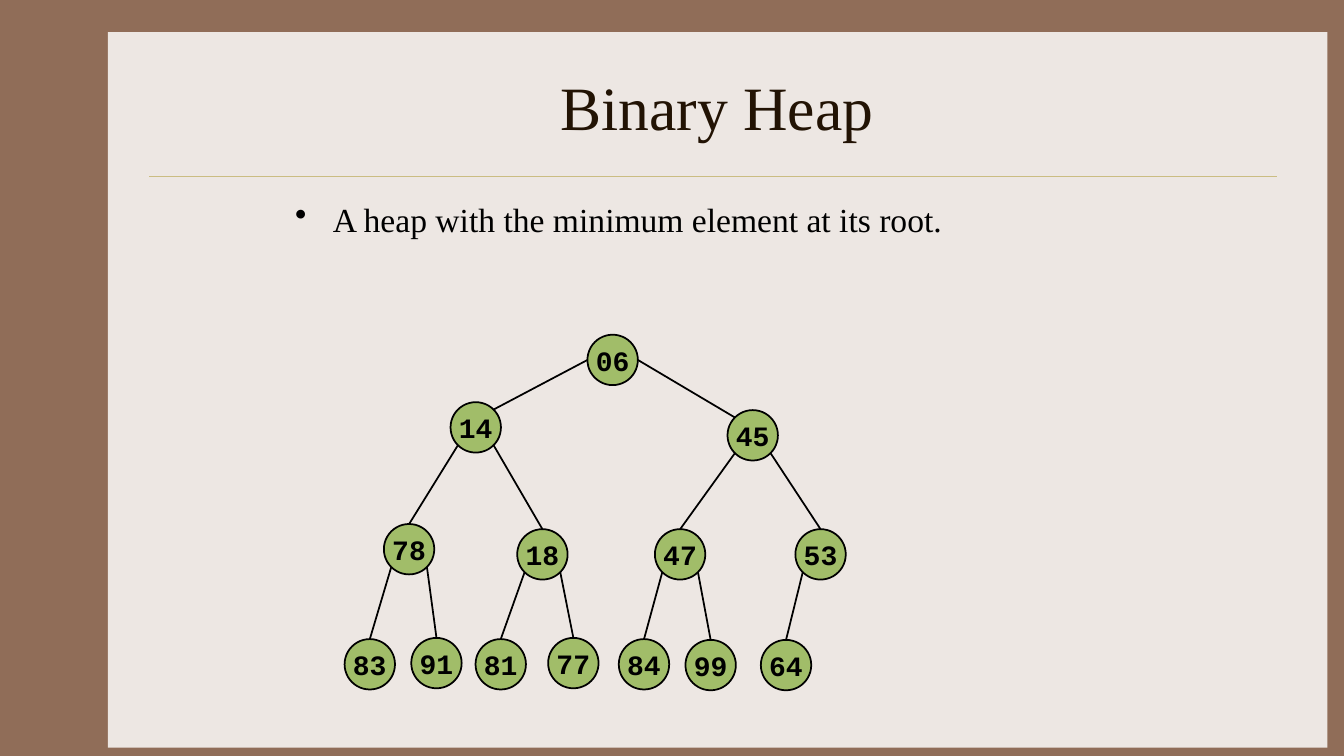
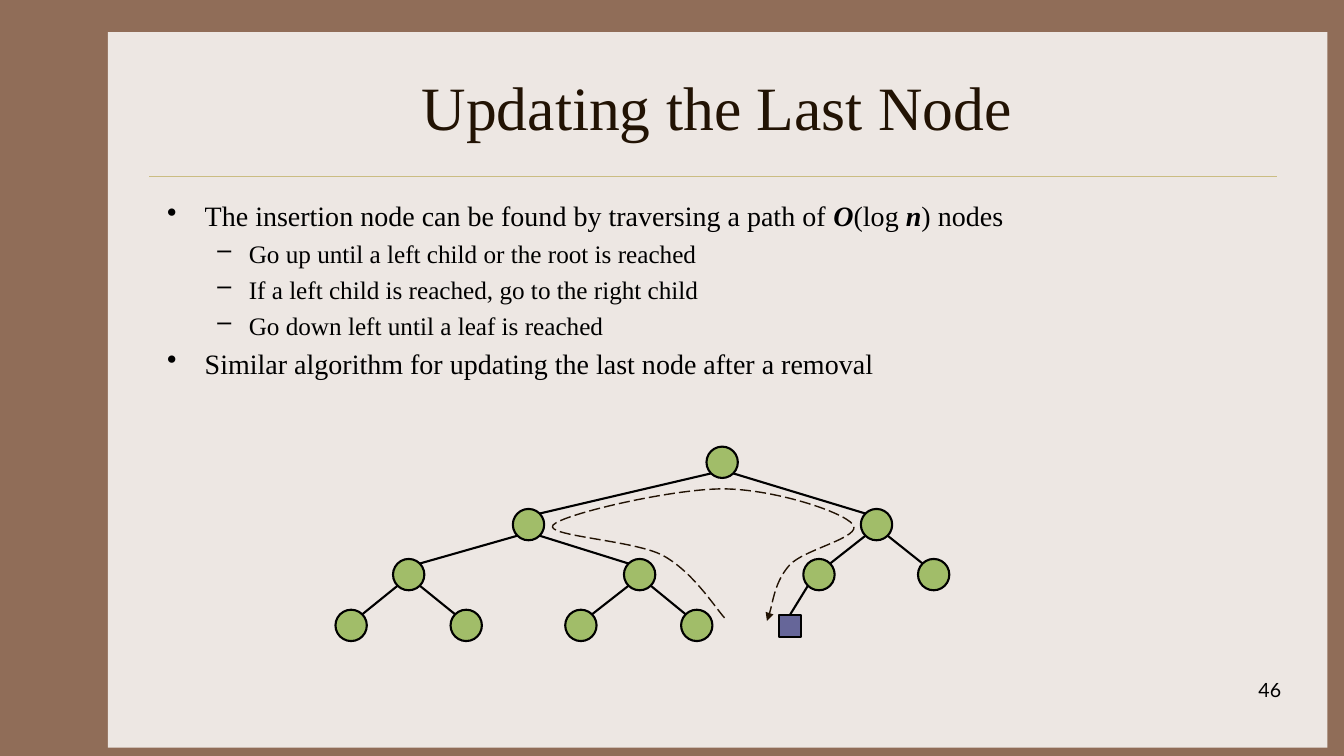
from dataclasses import dataclass
from math import sqrt

from lxml.etree import SubElement
from pptx import Presentation
from pptx.dml.color import RGBColor
from pptx.enum.dml import MSO_LINE
from pptx.enum.shapes import MSO_CONNECTOR, MSO_SHAPE
from pptx.enum.text import MSO_ANCHOR, PP_ALIGN
from pptx.oxml.ns import qn
from pptx.util import Cm, Pt


@dataclass(frozen=True)
class Theme:
    frame: str = "906D58"
    panel: str = "EDE7E3"
    rule: str = "CBBD83"
    heading: str = "221304"
    ink: str = "000000"
    node: str = "A1BD69"
    insertion: str = "666699"
    serif: str = "Times New Roman"
    mono: str = "Courier New"
    sans: str = "Lato"
    title_size: int = 44
    lead_size: int = 24
    body_size: int = 20
    detail_size: int = 18
    label_size: int = 20
    number_size: int = 14


THEME = Theme()
BULLETS = {0: ("•", 0.95, 0.95), 1: ("–", 2.06, 0.79)}
SPACE_SHARE = 0.23
DIAGONAL = sqrt(2) / 4
SITES = {
    "left": (0, 0.5),
    "right": (1, 0.5),
    "top left": (0.5 - DIAGONAL, 0.5 - DIAGONAL),
    "top right": (0.5 + DIAGONAL, 0.5 - DIAGONAL),
    "bottom left": (0.5 - DIAGONAL, 0.5 + DIAGONAL),
    "bottom right": (0.5 + DIAGONAL, 0.5 + DIAGONAL),
}
HEAP_NODES = [
    ("06", 15.44, 9.07),
    ("14", 11.99, 10.77), ("45", 18.97, 10.97),
    ("78", 10.31, 13.84), ("18", 13.67, 13.97),
    ("47", 17.14, 13.97), ("53", 20.68, 13.97),
    ("83", 9.32, 16.74), ("91", 11, 16.71),
    ("81", 12.62, 16.74), ("77", 14.45, 16.71),
    ("84", 16.23, 16.74), ("99", 17.91, 16.76),
    ("64", 19.81, 16.76),
]
PATH_TREE_NODES = [
    ("", 18.2, 11.65),
    ("", 13.32, 13.22), ("", 22.09, 13.22),
    ("", 10.3, 14.48), ("", 16.12, 14.48),
    ("", 20.64, 14.48), ("", 23.53, 14.48),
    ("", 8.85, 15.76), ("", 11.75, 15.76),
    ("", 14.64, 15.76), ("", 17.56, 15.76),
]
TRAVERSAL = [
    (18.26, 15.57),
    (18.01, 15.29), (17.45, 14.4), (16.71, 14),
    (16, 13.61), (13.69, 13.51), (13.94, 13.23),
    (14.2, 12.95), (16.94, 12.32), (18.21, 12.32),
    (19.46, 12.32), (21.21, 12.88), (21.49, 13.21),
    (21.77, 13.54), (20.24, 13.84), (19.89, 14.25),
    (19.53, 14.66), (19.46, 15.34), (19.33, 15.65),
]


def apply(target, **values):
    for name, value in values.items():
        setattr(target, name, value)


def format_font(font, color, **values):
    apply(font, **values)
    font.color.rgb = RGBColor.from_string(color)


def format_line(line, color, width):
    line.color.rgb = RGBColor.from_string(color)
    line.width = Pt(width)


def add_box(page, left, top, width, height):
    box = page.shapes.add_textbox(Cm(left), Cm(top), Cm(width), Cm(height))
    box.text_frame.word_wrap = True
    return box


def add_solid(page, preset, left, top, width, height, color):
    shape = page.shapes.add_shape(preset, Cm(left), Cm(top), Cm(width), Cm(height))
    shape.shadow.inherit = False
    shape.fill.solid()
    shape.fill.fore_color.rgb = RGBColor.from_string(color)
    shape.line.fill.background()
    return shape


def add_straight(page, start, end, color, width):
    line = page.shapes.add_connector(MSO_CONNECTOR.STRAIGHT, *start, *end)
    format_line(line.line, color, width)
    SubElement(line.element.spPr, qn("a:effectLst"))
    return line


def dress_master(deck, page):
    master = deck.slide_master
    fill = master.background.fill
    fill.solid()
    fill.fore_color.rgb = RGBColor.from_string(THEME.frame)
    panel = add_solid(page, MSO_SHAPE.RECTANGLE, 2.72, 0.81, 30.73, 18.03, THEME.panel)
    rule = add_straight(page, (Cm(3.76), Cm(4.45)), (Cm(32.18), Cm(4.45)), THEME.rule, 0.25)
    for order, shape in enumerate((panel, rule)):
        shape.element.xpath(".//p:cNvPr")[0].set("id", str(100 + order))
        master.shapes.element.insert(2 + order, shape.element)


def set_title(page, text):
    title = page.shapes.title
    apply(title, left=Cm(3.96), top=Cm(1.07), width=Cm(28.22), height=Cm(3.18))
    apply(title.text_frame, text=text, word_wrap=True, vertical_anchor=MSO_ANCHOR.MIDDLE)
    para = title.text_frame.paragraphs[0]
    para.alignment = PP_ALIGN.CENTER
    format_font(para.runs[0].font, THEME.heading, name=THEME.serif, size=Pt(THEME.title_size))


def add_bullets(page, place, items):
    frame = add_box(page, *place).text_frame
    for order, (level, size, spans) in enumerate(items):
        para = frame.add_paragraph() if order else frame.paragraphs[0]
        sign, margin, hanging = BULLETS[level]
        properties = para._p.get_or_add_pPr()
        apply_attributes = {"marL": Cm(margin), "indent": -Cm(hanging), "lvl": level}
        for name, value in apply_attributes.items():
            properties.set(name, str(int(value)))
        SubElement(properties, qn("a:buChar")).set("char", sign)
        para.space_before = Pt(round(size * SPACE_SHARE, 1) if order else 0)
        for text, strong in spans:
            span = para.add_run()
            span.text = text
            format_font(span.font, THEME.ink, name=THEME.serif, size=Pt(size),
                        bold=strong, italic=strong)


def add_node(page, preset, node, size, color, width):
    label, x, y = node
    shape = add_solid(page, preset, x - size / 2, y - size / 2, size, size, color)
    format_line(shape.line, THEME.ink, width)
    if label:
        frame = shape.text_frame
        apply(frame, text=label, word_wrap=False, vertical_anchor=MSO_ANCHOR.MIDDLE)
        para = frame.paragraphs[0]
        para.alignment = PP_ALIGN.CENTER
        format_font(para.runs[0].font, THEME.ink, name=THEME.mono,
                    size=Pt(THEME.label_size), bold=True)
    return shape


def site_point(shape, site):
    across, down = SITES[site]
    return int(shape.left + shape.width * across), int(shape.top + shape.height * down)


def join(page, parent, child, leaving, arriving, width):
    start = site_point(parent, leaving)
    if arriving == "top":
        line = add_straight(page, start, start, THEME.ink, width)
        line.end_connect(child, 0)
    else:
        add_straight(page, start, site_point(child, arriving), THEME.ink, width)


def add_nodes(page, nodes, size, width):
    return [add_node(page, MSO_SHAPE.OVAL, node, size, THEME.node, width) for node in nodes]


def link_tree(page, shapes, width, choose_sites):
    for index in range(1, len(shapes)):
        side, opposite = ("left", "right") if index % 2 else ("right", "left")
        leaving, arriving = choose_sites(index, side, opposite)
        join(page, shapes[(index - 1) // 2], shapes[index], leaving, arriving, width)


def heap_sites(index, side, opposite):
    if index <= 2:
        return side, f"top {opposite}"
    return f"bottom {side}", "top"


def path_tree_sites(index, side, opposite):
    is_insertion = index == len(PATH_TREE_NODES)
    return f"bottom {side}", "top" if is_insertion else f"top {opposite}"


def add_curved_arrow(page, points, color, width):
    vertices = [(Cm(x), Cm(y)) for x, y in points]
    builder = page.shapes.build_freeform(*vertices[0])
    builder.add_line_segments(vertices[1:], close=False)
    curve = builder.convert_to_shape()
    curve.shadow.inherit = False
    curve.fill.background()
    format_line(curve.line, color, width)
    curve.line.dash_style = MSO_LINE.LONG_DASH
    SubElement(curve.line._get_or_add_ln(), qn("a:tailEnd")).set("type", "triangle")
    outline = curve.element.xpath(".//a:path")[0]
    segments = outline.findall(qn("a:lnTo"))
    for first in range(0, len(segments), 3):
        bend = SubElement(outline, qn("a:cubicBezTo"))
        for segment in segments[first:first + 3]:
            bend.append(segment[0])
            outline.remove(segment)


def add_page_number(page, number):
    para = add_box(page, 25.48, 16.97, 7.06, 1.27).text_frame.paragraphs[0]
    para.alignment = PP_ALIGN.RIGHT
    span = para.add_run()
    span.text = number
    format_font(span.font, THEME.ink, name=THEME.sans, size=Pt(THEME.number_size))


def build_heap_page(page):
    set_title(page, "Binary Heap")
    add_bullets(page, (7.19, 4.88, 21.16, 3.18), [
        (0, THEME.lead_size, [("A heap with the minimum element at its root.", False)]),
    ])
    link_tree(page, add_nodes(page, HEAP_NODES, 1.27, 1.25), 1.25, heap_sites)


def build_update_page(page):
    set_title(page, "Updating the Last Node")
    details = ("Go up until a left child or the root is reached",
               "If a left child is reached, go to the right child",
               "Go down left until a leaf is reached")
    add_bullets(page, (3.96, 4.88, 28.22, 11.43), [
        (0, THEME.body_size, [
            ("The insertion node can be found by traversing a path of ", False),
            ("O", True), ("(log ", False), ("n", True), (") nodes", False)]),
        *[(1, THEME.detail_size, [(detail, False)]) for detail in details],
        (0, THEME.body_size, [
            ("Similar algorithm for updating the last node after a removal", False)]),
    ])
    add_page_number(page, "46")
    shapes = add_nodes(page, PATH_TREE_NODES, 0.79, 1.5)
    shapes.append(add_node(page, MSO_SHAPE.RECTANGLE, ("", 19.91, 15.77), 0.56,
                           THEME.insertion, 1.5))
    link_tree(page, shapes, 1.5, path_tree_sites)
    add_curved_arrow(page, TRAVERSAL, THEME.heading, 1)


def main():
    deck = Presentation()
    apply(deck, slide_width=Cm(33.87), slide_height=Cm(19.05))
    title_only = deck.slide_layouts[5]
    pages = [deck.slides.add_slide(title_only) for _ in range(2)]
    dress_master(deck, pages[0])
    build_heap_page(pages[0])
    build_update_page(pages[1])
    deck.save("out.pptx")


if __name__ == "__main__":
    main()
